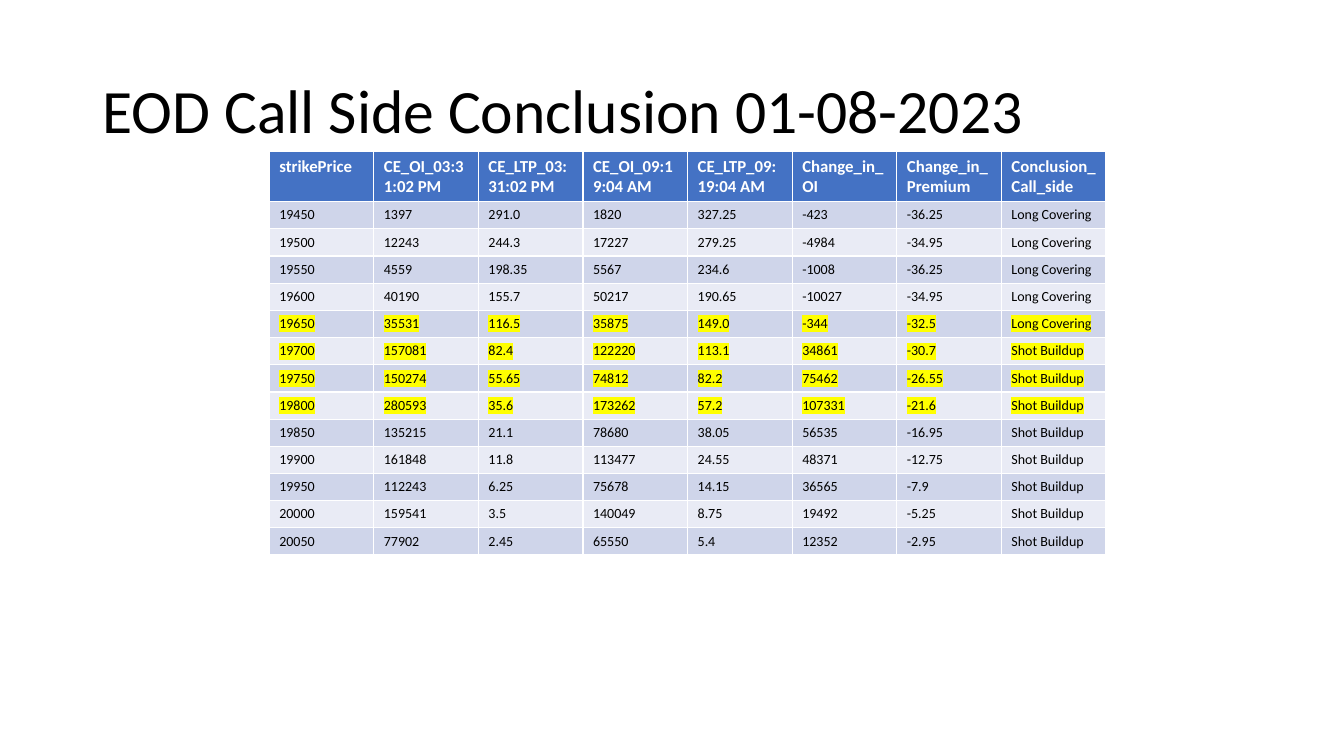
from lxml.etree import SubElement
from pptx import Presentation
from pptx.dml.color import RGBColor
from pptx.enum.text import MSO_ANCHOR
from pptx.oxml.ns import qn
from pptx.util import Inches, Pt

FONT = "Calibri"
BLACK = RGBColor(0x00, 0x00, 0x00)
WHITE = RGBColor(0xFF, 0xFF, 0xFF)
HEADER_BLUE = RGBColor(0x44, 0x72, 0xC4)
BANDS = [RGBColor(0xCF, 0xD5, 0xEA), RGBColor(0xE9, 0xEB, 0xF5)]
HIGHLIGHT = RGBColor(0xFF, 0xFF, 0x00)

HEADINGS = [
    "strikePrice", "CE_OI_03:31:02 PM", "CE_LTP_03:31:02 PM",
    "CE_OI_09:19:04 AM", "CE_LTP_09:19:04 AM",
    "Change_in_OI", "Change_in_Premium", "Conclusion_Call_side",
]
# Closing OI and LTP, then opening OI and LTP, for each strike price
QUOTES = [
    (1397, 291.0, 1820, 327.25),
    (12243, 244.3, 17227, 279.25),
    (4559, 198.35, 5567, 234.6),
    (40190, 155.7, 50217, 190.65),
    (35531, 116.5, 35875, 149.0),
    (157081, 82.4, 122220, 113.1),
    (150274, 55.65, 74812, 82.2),
    (280593, 35.6, 173262, 57.2),
    (135215, 21.1, 78680, 38.05),
    (161848, 11.8, 113477, 24.55),
    (112243, 6.25, 75678, 14.15),
    (159541, 3.5, 140049, 8.75),
    (77902, 2.45, 65550, 5.4),
]
FIRST_STRIKE, STRIKE_STEP = 19450, 50
KEY_STRIKES = range(19650, 19801, STRIKE_STEP)
COLUMN_WIDTH, HEADER_HEIGHT, ROW_HEIGHT = Inches(8.3 / 8), Inches(0.49), Inches(0.27)


def fill_cell(cell, value, size, color, fill, bold=False, marked=False):
    cell.fill.solid()
    cell.fill.fore_color.rgb = fill
    paragraph = cell.text_frame.paragraphs[0]
    run = paragraph.add_run()
    run.text = str(value)
    paragraph.font.name = FONT
    paragraph.font.size = Pt(size)
    paragraph.font.bold = bold
    paragraph.font.color.rgb = color
    if marked:
        highlight = SubElement(run.font._element, qn("a:highlight"))
        SubElement(highlight, qn("a:srgbClr"), val=str(HIGHLIGHT))


presentation = Presentation()
presentation.slide_width = Inches(13.33)
presentation.slide_height = Inches(7.5)
slide = presentation.slides.add_slide(presentation.slide_layouts[6])

title = slide.shapes.add_textbox(
    Inches(0.92), Inches(0.4), Inches(11.5), Inches(1.45)).text_frame
title.word_wrap = True
title.vertical_anchor = MSO_ANCHOR.MIDDLE
heading = title.paragraphs[0]
heading.text = "EOD Call Side Conclusion 01-08-2023"
heading.line_spacing = 0.9
heading.font.name = FONT
heading.font.size = Pt(44)
heading.font.color.rgb = BLACK

conclusions = slide.shapes.add_table(
    len(QUOTES) + 1, len(HEADINGS), Inches(2.67), Inches(1.5),
    COLUMN_WIDTH * len(HEADINGS), HEADER_HEIGHT + ROW_HEIGHT * len(QUOTES)).table
for column in conclusions.columns:
    column.width = COLUMN_WIDTH
for row in conclusions.rows:
    row.height = ROW_HEIGHT
conclusions.rows[0].height = HEADER_HEIGHT

for column, name in enumerate(HEADINGS):
    fill_cell(conclusions.cell(0, column), name, 12, WHITE, HEADER_BLUE, bold=True)

for index, (close_oi, close_ltp, open_oi, open_ltp) in enumerate(QUOTES):
    strike = FIRST_STRIKE + index * STRIKE_STEP
    oi_change = close_oi - open_oi
    premium_change = round(close_ltp - open_ltp, 2)
    verdict = "Long Covering" if oi_change < 0 else "Shot Buildup"
    values = [strike, close_oi, close_ltp, open_oi, open_ltp,
              oi_change, premium_change, verdict]
    for column, value in enumerate(values):
        fill_cell(conclusions.cell(index + 1, column), value, 10, BLACK,
                  BANDS[index % 2], marked=strike in KEY_STRIKES)

presentation.save("out.pptx")
